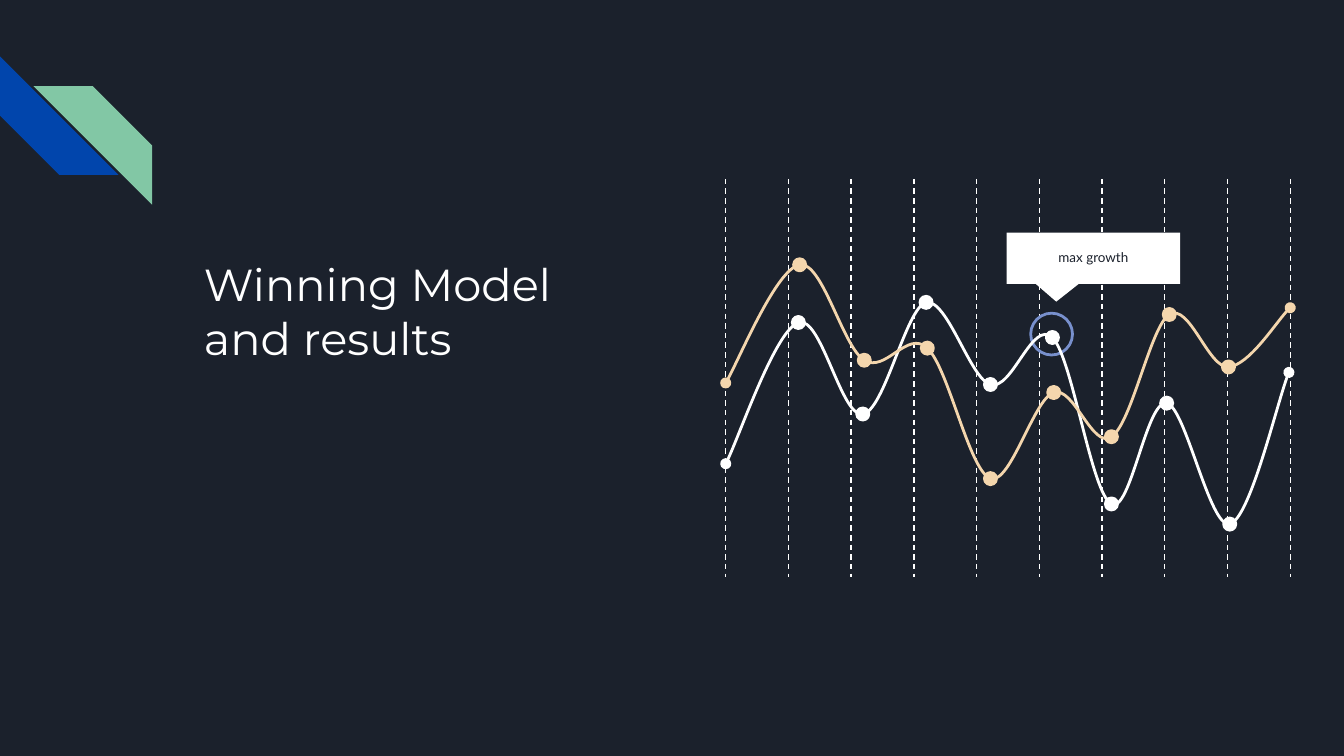
from lxml import etree
from pptx import Presentation
from pptx.dml.color import RGBColor
from pptx.enum.dml import MSO_LINE
from pptx.enum.shapes import MSO_CONNECTOR, MSO_SHAPE
from pptx.enum.text import MSO_ANCHOR, PP_ALIGN
from pptx.oxml.ns import qn
from pptx.util import Pt

STRIPE, OVAL = MSO_SHAPE.DIAGONAL_STRIPE, MSO_SHAPE.OVAL
CALLOUT = MSO_SHAPE.ROUNDED_RECTANGULAR_CALLOUT
STRAIGHT, DASH = MSO_CONNECTOR.STRAIGHT, MSO_LINE.DASH
TOP, MIDDLE = MSO_ANCHOR.TOP, MSO_ANCHOR.MIDDLE
LEFT, CENTER = PP_ALIGN.LEFT, PP_ALIGN.CENTER

NAVY, BLUE, GREEN = "1B212C", "0145AC", "82C7A5"
WHITE, SAND, PERIWINKLE = "FFFFFF", "F4D6AD", "7890CD"

# Curves in points from the chart corner: a start, then two handles and a knot each time
WHITE_CURVE = [
    (0, 152.6),
    (6.5, 140.4), (26.6, 81.4), (38.9, 77),
    (51.1, 72.7), (61.9, 128.2), (73.4, 126),
    (85, 124.6), (96.5, 69.1), (107.3, 66.2),
    (118.8, 64.1), (131, 107.3), (141.8, 110.2),
    (153.4, 113.8), (164.2, 74.9), (175, 85),
    (185.8, 95.8), (195.8, 168.5), (206.6, 174.2),
    (216.7, 180), (225.4, 118.1), (236.2, 120.2),
    (246.2, 121.7), (259.2, 187.2), (270, 185),
    (280.8, 182.2), (295.9, 117.4), (301.7, 103.7),
]
SAND_CURVE = [
    (0, 109.4),
    (6.5, 98.6), (27.4, 48.2), (39.6, 46.1),
    (51.8, 43.9), (62.6, 90), (74.2, 97.2),
    (85.7, 104.4), (97.2, 80.6), (108, 90.7),
    (119.5, 101.5), (130.3, 156.2), (141.8, 160.6),
    (152.6, 164.2), (164.9, 118.1), (175.7, 114.5),
    (186.5, 110.9), (196.6, 145.4), (206.6, 138.2),
    (217.4, 131.8), (227.5, 79.2), (237.6, 72.7),
    (248.4, 66.2), (258.5, 101.5), (269.3, 100.8),
    (280.1, 100.1), (296.6, 74.2), (302.4, 69.1),
]


def color(value):
    return RGBColor.from_string(value)


def style(shape, fill=None, line=None, width=1.5):
    shape.shadow.inherit = False
    if fill:
        shape.fill.solid()
        shape.fill.fore_color.rgb = color(fill)
    else:
        shape.fill.background()
    if line:
        shape.line.color.rgb = color(line)
        shape.line.width = Pt(width)
    else:
        shape.line.fill.background()


def add_shape(page, kind, box, adjust=(), **look):
    shape = page.shapes.add_shape(kind, *map(Pt, box))
    for index, value in enumerate(adjust):
        shape.adjustments[index] = value
    style(shape, **look)
    return shape


def add_text(page, text, box, font, size, ink, align=LEFT, anchor=TOP, spacing=1.0):
    frame = page.shapes.add_textbox(*map(Pt, box)).text_frame
    frame.word_wrap = True
    frame.vertical_anchor = anchor
    frame.margin_left = frame.margin_right = Pt(7.2)
    frame.margin_top = frame.margin_bottom = Pt(7.2)
    para = frame.paragraphs[0]
    para.alignment = align
    para.line_spacing = spacing
    span = para.add_run()
    span.text = text
    span.font.name = font
    span.font.size = Pt(size)
    span.font.color.rgb = color(ink)


def add_corner_stripes(page, box):
    left, top, size = box
    blue = add_shape(page, STRIPE, (left, top, size, size), [0.5], fill=BLUE)
    blue.rotation = 270
    green = add_shape(page, STRIPE, (left + 18, top + 16, size, size), [0.5], fill=GREEN)
    green._element.spPr.find(qn("a:xfrm")).set("flipH", "1")


def add_grid(page, box, count=10):
    left, top, width, height = box
    for index in range(count):
        x = Pt(left + width * index / (count - 1))
        line = page.shapes.add_connector(STRAIGHT, x, Pt(top), x, Pt(top + height))
        line.line.color.rgb = color(WHITE)
        line.line.width = Pt(0.75)
        line.line.dash_style = DASH
        etree.SubElement(line._element.spPr, qn("a:effectLst"))


def bend_segments(shape):
    """Turn each three straight segments into one cubic curve."""
    segments = list(shape._element.iter(qn("a:lnTo")))
    for start in range(0, len(segments), 3):
        curve = etree.Element(qn("a:cubicBezTo"))
        segments[start].addprevious(curve)
        for segment in segments[start:start + 3]:
            curve.append(segment[0])
            segment.getparent().remove(segment)


def add_series(page, box, points, ink, dot=6.5):
    left, top = box[:2]
    places = [(left + x, top + y) for x, y in points]
    corners = [(Pt(x), Pt(y)) for x, y in places]
    builder = page.shapes.build_freeform(*corners[0])
    builder.add_line_segments(corners[1:], close=False)
    curve = builder.convert_to_shape()
    style(curve, line=ink)
    bend_segments(curve)
    # Round ends on the curve, dots on the inner knots
    outline = curve._element.spPr.find(qn("a:ln"))
    for end in ("a:headEnd", "a:tailEnd"):
        etree.SubElement(outline, qn(end), type="oval")
    for x, y in places[3:-1:3]:
        add_shape(page, OVAL, (x - dot / 2, y - dot / 2, dot, dot), fill=ink, line=ink)


def add_chart_panel(page, box):
    left, top = box[:2]
    note = (left + 150.5, top + 28.8, 92.9, 27.4)
    add_grid(page, box)
    add_shape(page, OVAL, (left + 163.4, top + 72, 22.4, 22.4), line=PERIWINKLE)
    add_series(page, box, WHITE_CURVE, WHITE)
    add_shape(page, CALLOUT, note, [-0.214, 0.85, 0], fill=WHITE)
    add_series(page, box, SAND_CURVE, SAND)
    add_text(page, "max growth", (note[0], note[1] + 2.2, note[2], 22.4), font="Lato",
             size=7.2, ink=NAVY, align=CENTER, anchor=MIDDLE, spacing=0.95)


def main():
    deck = Presentation()
    deck.slide_width, deck.slide_height = Pt(720), Pt(405)
    page = deck.slides.add_slide(deck.slide_layouts[6])
    page.background.fill.solid()
    page.background.fill.fore_color.rgb = color(NAVY)

    add_corner_stripes(page, (0, 30.2, 63.5))
    add_text(page, "Winning Model and results", (102.2, 130.3, 239, 138.2),
             font="Montserrat", size=24, ink=WHITE)
    add_chart_panel(page, (388.8, 95.8, 302.4, 213.1))
    deck.save("out.pptx")


if __name__ == "__main__":
    main()
